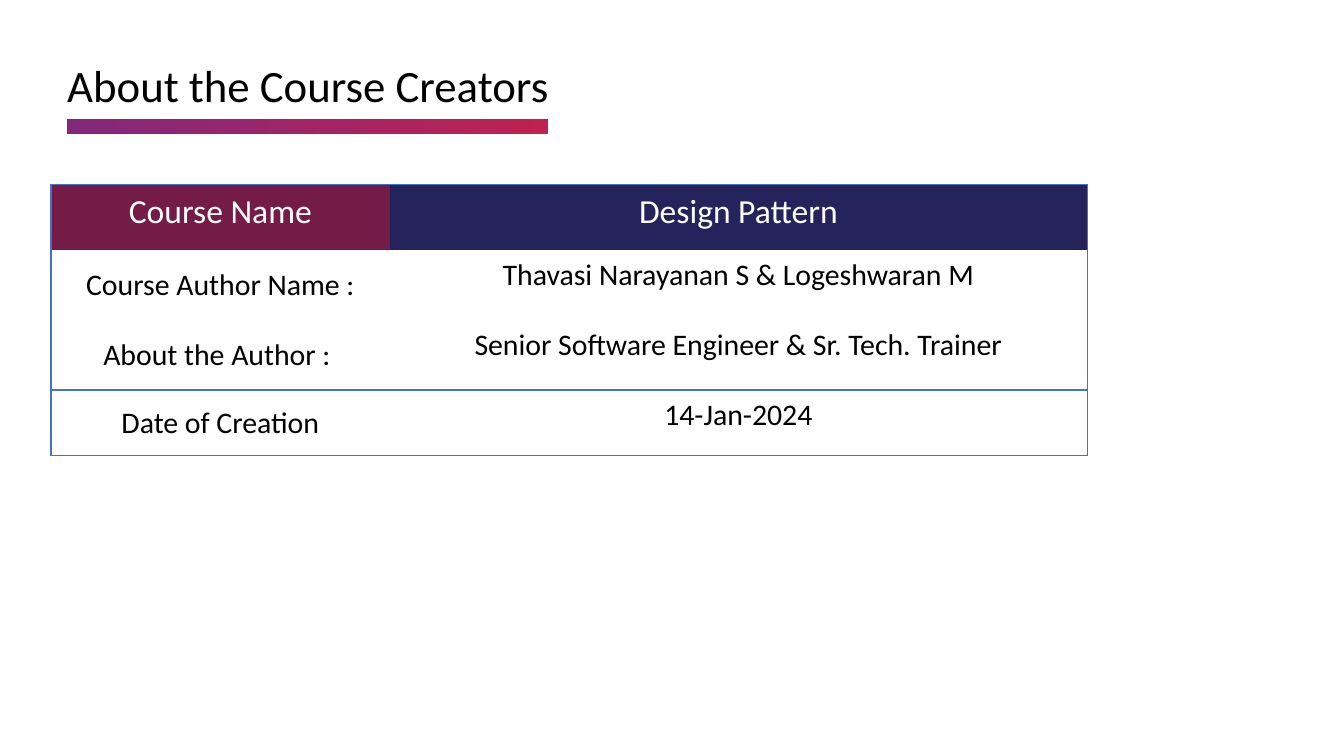
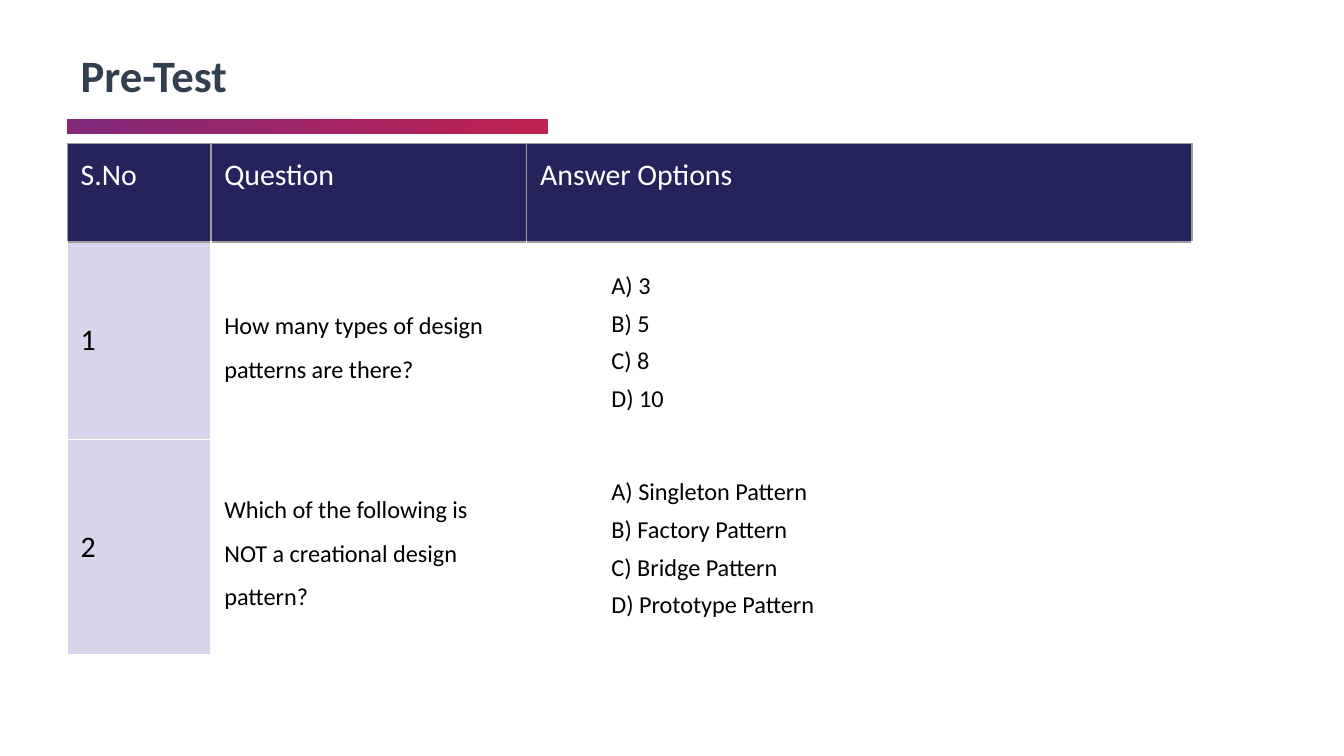
from dataclasses import dataclass

from lxml.etree import SubElement
from pptx import Presentation
from pptx.dml.color import RGBColor as Color
from pptx.enum.shapes import MSO_SHAPE as Shape
from pptx.enum.text import MSO_ANCHOR as Anchor, MSO_AUTO_SIZE as AutoSize, PP_ALIGN as Align
from pptx.oxml import parse_xml
from pptx.oxml.ns import nsdecls, qn
from pptx.util import Inches, Pt


@dataclass(frozen=True)
class Theme:
    font: str = "Calibri"
    black: str = "000000"
    white: str = "FFFFFF"
    slate: str = "323F4F"
    navy: str = "25235B"
    maroon: str = "741B47"
    lavender: str = "D6D5EB"
    blue: str = "4472C4"
    grey: str = "9E9E9E"
    purple: str = "82297B"
    crimson: str = "BF2151"
    title: int = 24
    heading: int = 18
    body: int = 16
    small: int = 13
    border: float = 0.75
    plain_table: str = "{2D5ABB26-0587-4C30-8999-92F81FD0307C}"


theme = Theme()


def style_text(frame, size, color, bold=False, align=Align.LEFT, spacing=None):
    for paragraph in frame.paragraphs:
        paragraph.alignment = align
        paragraph.line_spacing = spacing
        for run in paragraph.runs:
            run.font.name = theme.font
            run.font.size = Pt(size)
            run.font.bold = bold
            run.font.color.rgb = Color.from_string(color)


def style_cell(cell, fill, borders, inset, anchor):
    cell.margin_left = cell.margin_right = Inches(0.1)
    cell.margin_top = cell.margin_bottom = Inches(inset)
    cell.vertical_anchor = anchor
    if fill:
        cell.fill.solid()
        cell.fill.fore_color.rgb = Color.from_string(fill)
    else:
        cell.fill.background()
    properties = cell._tc.get_or_add_tcPr()
    for index, (side, color) in enumerate(borders.items()):
        line = parse_xml(f'<a:ln{side} {nsdecls("a")} w="{Pt(theme.border)}"/>')
        solid = SubElement(line, qn("a:solidFill"))
        SubElement(solid, qn("a:srgbClr"), val=color)
        properties.insert(index, line)


presentation = Presentation()
presentation.slide_width = Inches(10)
presentation.slide_height = Inches(5.625)
column = presentation.slide_width / 100
row = presentation.slide_height / 100
layout = presentation.slide_layouts[5]
for placeholder in list(layout.placeholders)[1:]:
    placeholder.element.getparent().remove(placeholder.element)

titles = [
    ("About the Course Creators", 7.6, 52.2, 0, theme.black, False, 1.0),
    ("Pre-Test", 5.3, 32.8, 0.1, theme.slate, True, 0.9),
]
tables = [
    (3.8, 24.4, [25.2, 51.9], [8.7, 9.25, 9.25, 8.7]),
    (5, 19, [10.7, 23.5, 49.5], [13, 26.1, 28.5]),
]
grids = []
for (text, top, width, inset, color, bold, spacing), (left, table_top, widths, heights) in zip(titles, tables):
    slide = presentation.slides.add_slide(layout)
    title = slide.shapes.title
    title.left, title.top = int(5 * column), int(top * row)
    title.width, title.height = int(width * column), int(10.1 * row)
    frame = title.text_frame
    frame.text = text
    frame.auto_size = AutoSize.NONE
    frame.vertical_anchor = Anchor.TOP
    frame.margin_left = frame.margin_right = frame.margin_top = frame.margin_bottom = Inches(inset)
    style_text(frame, theme.title, color, bold, spacing=spacing)

    graphic = slide.shapes.add_table(
        len(heights), len(widths), int(left * column), int(table_top * row),
        int(sum(widths) * column), int(sum(heights) * row))
    graphic.element.xpath(".//a:tableStyleId")[0].text = theme.plain_table
    table = graphic.table
    table.first_row = table.horz_banding = False
    for table_column, share in zip(table.columns, widths):
        table_column.width = int(share * column)
    for table_row, share in zip(table.rows, heights):
        table_row.height = int(share * row)
    grids.append(table)

bar = slide.shapes.add_shape(Shape.RECTANGLE, int(5 * column), int(15.8 * row), int(35.8 * column), int(2 * row))
bar.shadow.inherit = False
bar.line.fill.background()
bar.fill.gradient()
bar.fill.gradient_angle = 0
for stop, position, color in zip(bar.fill.gradient_stops, (0, 1), (theme.purple, theme.crimson)):
    stop.position = position
    stop.color.rgb = Color.from_string(color)
layout.shapes.element.append(bar.element)

creators, pretest = grids

creator_rows = [
    ("Course Name", "Design Pattern"),
    (" Course Author Name : ", "Thavasi Narayanan S & Logeshwaran M"),
    ("About the Author : ", "Senior Software Engineer & Sr. Tech. Trainer"),
    (" Date of Creation ", "14-Jan-2024"),
]
last = len(creator_rows) - 1
for row_index, texts in enumerate(creator_rows):
    header = row_index == 0
    for column_index, text in enumerate(texts):
        cell = creators.cell(row_index, column_index)
        cell.text_frame.text = text
        sides = "R" if column_index else "L"
        sides += "T" if row_index in (0, last) else ""
        sides += "B" if row_index >= last - 1 else ""
        fill = (theme.maroon, theme.navy)[column_index] if header else None
        anchor = Anchor.TOP if header or column_index else Anchor.MIDDLE
        style_cell(cell, fill, dict.fromkeys(sides, theme.blue), 0.05, anchor)
        style_text(cell.text_frame, theme.heading if header else theme.body,
                   theme.white if header else theme.black, align=Align.CENTER)

for column_index, text in enumerate(["S.No", "Question", "Answer Options"]):
    cell = pretest.cell(0, column_index)
    cell.text_frame.text = text
    style_cell(cell, theme.navy, dict.fromkeys("LRTB", theme.grey), 0.1, Anchor.TOP)
    style_text(cell.text_frame, theme.body, theme.white)

questions = [
    ("How many types of design patterns are there?", 1.5, ["3", "5", "8", "10"]),
    ("Which of the following is NOT a creational design pattern?", 1.47,
     ["Singleton Pattern", "Factory Pattern", "Bridge Pattern", "Prototype Pattern"]),
]
for number, (question, question_spacing, options) in enumerate(questions, 1):
    answers = "\n".join(f"{letter}) {option}" for letter, option in zip("ABCD", options))
    borders = dict.fromkeys("LRTB", theme.white)
    if number == 1:
        borders["T"] = theme.grey
    contents = [
        (str(number), theme.body, None, theme.lavender),
        (question, theme.small, question_spacing, None),
        (answers, theme.small, 1.15, None),
    ]
    for column_index, (text, size, spacing, fill) in enumerate(contents):
        cell = pretest.cell(number, column_index)
        cell.text_frame.text = text
        style_cell(cell, fill, borders, 0.1, Anchor.MIDDLE)
        style_text(cell.text_frame, size, theme.black, spacing=spacing)
        if column_index:
            cell.margin_right = Inches(0.3)
    for index, paragraph in enumerate(cell.text_frame.paragraphs):
        paragraph._p.get_or_add_pPr().set("marL", str(Inches(0.53)))
        paragraph.space_before = Pt(2 if index else 0)

presentation.save("out.pptx")
